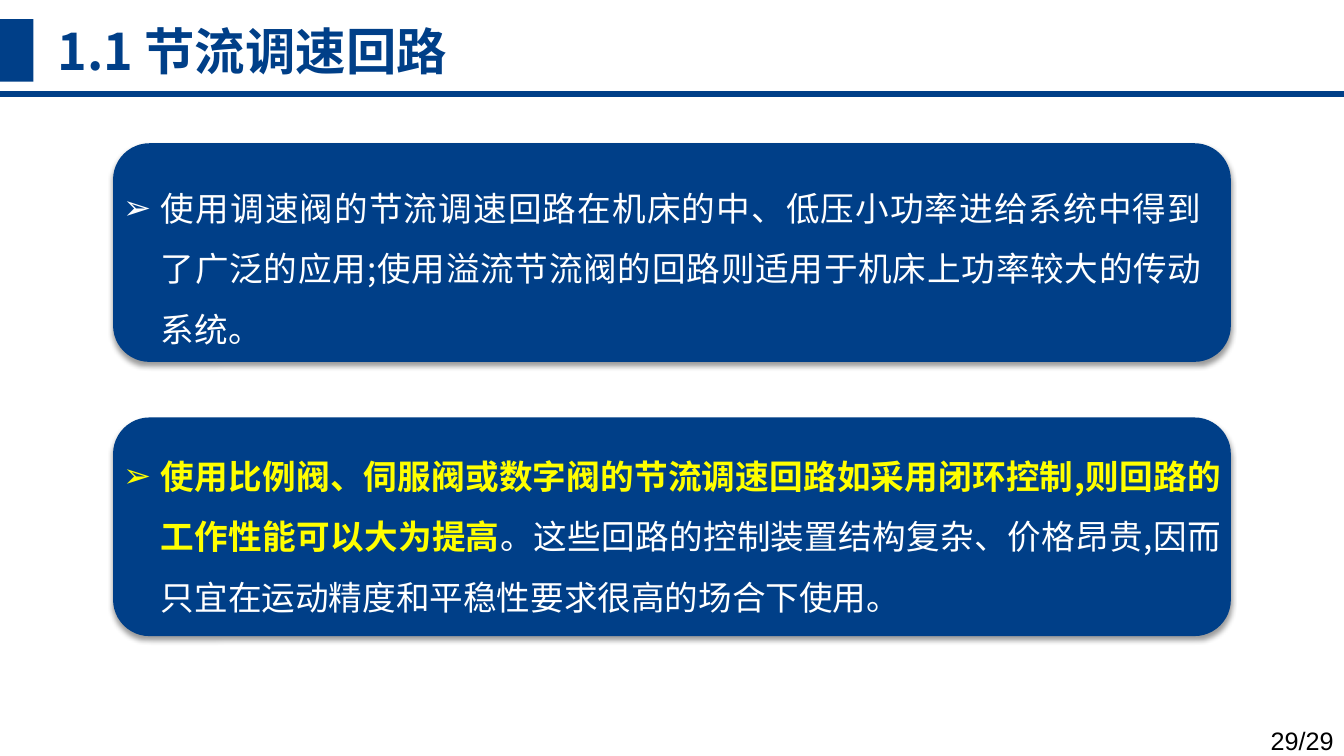
import pptx
import pptx.dml.color
import pptx.enum.lang
import pptx.enum.shapes
import pptx.enum.text
import pptx.oxml
import pptx.oxml.ns
import pptx.util
from pptx.util import Cm

NAVY = pptx.dml.color.RGBColor(0x00, 0x3F, 0x88)
WHITE = pptx.dml.color.RGBColor(0xFF, 0xFF, 0xFF)
YELLOW = pptx.dml.color.RGBColor(0xFF, 0xFF, 0x00)
BLACK = pptx.dml.color.RGBColor(0x00, 0x00, 0x00)
CHINESE_FONT = "Noto Sans CJK SC"
SLIDE_WIDTH, SLIDE_HEIGHT = Cm(33.87), Cm(19.05)
PANEL_LEFT, PANEL_WIDTH, PANEL_HEIGHT = Cm(2.85), Cm(28.17), Cm(5.51)

APPLICATIONS = [
    ("使用调速阀的节流调速回路在机床的中、低压小功率进给系统中得到了广泛的应用;"
     "使用溢流节流阀的回路则适用于机床上功率较大的传动系统。", WHITE, False),
]
CLOSED_LOOP = [
    ("使用比例阀、伺服阀或数字阀的节流调速回路如采用闭环控制,"
     "则回路的工作性能可以大为提高", YELLOW, True),
    ("。这些回路的控制装置结构复杂、价格昂贵,"
     "因而只宜在运动精度和平稳性要求很高的场合下使用。", WHITE, False),
]


def add_xml(parent, xml):
    namespace = pptx.oxml.ns.nsdecls("a")
    parent.append(pptx.oxml.parse_xml(xml.replace(" ", f" {namespace} ", 1)))


def add_run(paragraph, text, size, color, bold=False, font=CHINESE_FONT):
    run = paragraph.add_run()
    run.text = text
    run.font.size = pptx.util.Pt(size)
    run.font.bold = bold
    run.font.color.rgb = color
    run.font.name = font
    run.font.language_id = pptx.enum.lang.MSO_LANGUAGE_ID.SIMPLIFIED_CHINESE
    add_xml(run.font._element, f'<a:ea typeface="{font}"/>')


def add_block(slide, preset, left, top, width, height):
    shape = slide.shapes.add_shape(preset, left, top, width, height)
    shape.shadow.inherit = False
    shape.fill.solid()
    shape.fill.fore_color.rgb = NAVY
    shape.line.fill.background()
    return shape


def add_panel(slide, top):
    panel = add_block(slide, pptx.enum.shapes.MSO_SHAPE.ROUNDED_RECTANGLE,
                      PANEL_LEFT, top, PANEL_WIDTH, PANEL_HEIGHT)
    effects = panel.element.spPr.find(pptx.oxml.ns.qn("a:effectLst"))
    add_xml(effects, '<a:outerShdw blurRad="50800" dist="38100" dir="5400000" '
                     'algn="t" rotWithShape="0"><a:srgbClr val="000000">'
                     '<a:alpha val="40000"/></a:srgbClr></a:outerShdw>')


def add_rule(slide, top):
    rule = slide.shapes.add_connector(
        pptx.enum.shapes.MSO_CONNECTOR.STRAIGHT, 0, top, SLIDE_WIDTH, top)
    rule.line.color.rgb = NAVY
    rule.line.width = pptx.util.Pt(4.5)
    add_xml(rule.element.spPr, '<a:effectLst />')


def place_text(shape, left, top, width, height, alignment, wrap=True):
    shape.left, shape.top, shape.width, shape.height = left, top, width, height
    frame = shape.text_frame
    frame.word_wrap = wrap
    frame.auto_size = pptx.enum.text.MSO_AUTO_SIZE.NONE
    frame.vertical_anchor = pptx.enum.text.MSO_ANCHOR.TOP
    paragraph = frame.paragraphs[0]
    paragraph.alignment = alignment
    paragraph.space_before = pptx.util.Pt(0)
    return paragraph


def fill_bullet(slide, placeholder, top, width, height, runs):
    slide.shapes.element.append(placeholder.element)  # bring above the panels
    paragraph = place_text(placeholder, PANEL_LEFT, top, width, height,
                           pptx.enum.text.PP_ALIGN.JUSTIFY)
    paragraph.line_spacing = 1.5
    properties = paragraph._p.get_or_add_pPr()
    properties.set("marL", str(Cm(0.95)))
    properties.set("indent", str(Cm(-0.95)))
    add_xml(properties, '<a:buFont typeface="Arial"/>')
    add_xml(properties, '<a:buChar char="➢"/>')
    for text, color, bold in runs:
        add_run(paragraph, text, 24, color, bold)


def main():
    presentation = pptx.Presentation()
    presentation.slide_width = SLIDE_WIDTH
    presentation.slide_height = SLIDE_HEIGHT
    slide = presentation.slides.add_slide(presentation.slide_layouts[3])
    title, applications, closed_loop = slide.placeholders

    # Panels and header decoration
    for top in (Cm(10.52), Cm(3.61)):
        add_panel(slide, top)
    add_rule(slide, Cm(2.36))
    add_block(slide, pptx.enum.shapes.MSO_SHAPE.RECTANGLE,
              Cm(-0.05), Cm(0.48), Cm(0.89), Cm(1.58))

    # Title
    slide.shapes.element.append(title.element)
    heading = place_text(title, Cm(1.19), Cm(0.38), Cm(11.1), Cm(1.8),
                         pptx.enum.text.PP_ALIGN.LEFT, wrap=False)
    add_run(heading, "1.1 节流调速回路", 36, NAVY, bold=True)

    # Bulleted statements
    fill_bullet(slide, applications, Cm(4.09), Cm(27.69), Cm(4.7), APPLICATIONS)
    fill_bullet(slide, closed_loop, Cm(10.85), PANEL_WIDTH, Cm(4.88), CLOSED_LOOP)

    # Page number
    page_box = slide.shapes.add_textbox(0, 0, Cm(3.02), Cm(1.02))
    page = place_text(page_box, Cm(30.84), Cm(18.16), Cm(3.02), Cm(1.02),
                      pptx.enum.text.PP_ALIGN.RIGHT)
    add_run(page, "29/29", 18, BLACK, font="Arial")

    presentation.save("out.pptx")


if __name__ == "__main__":
    main()
